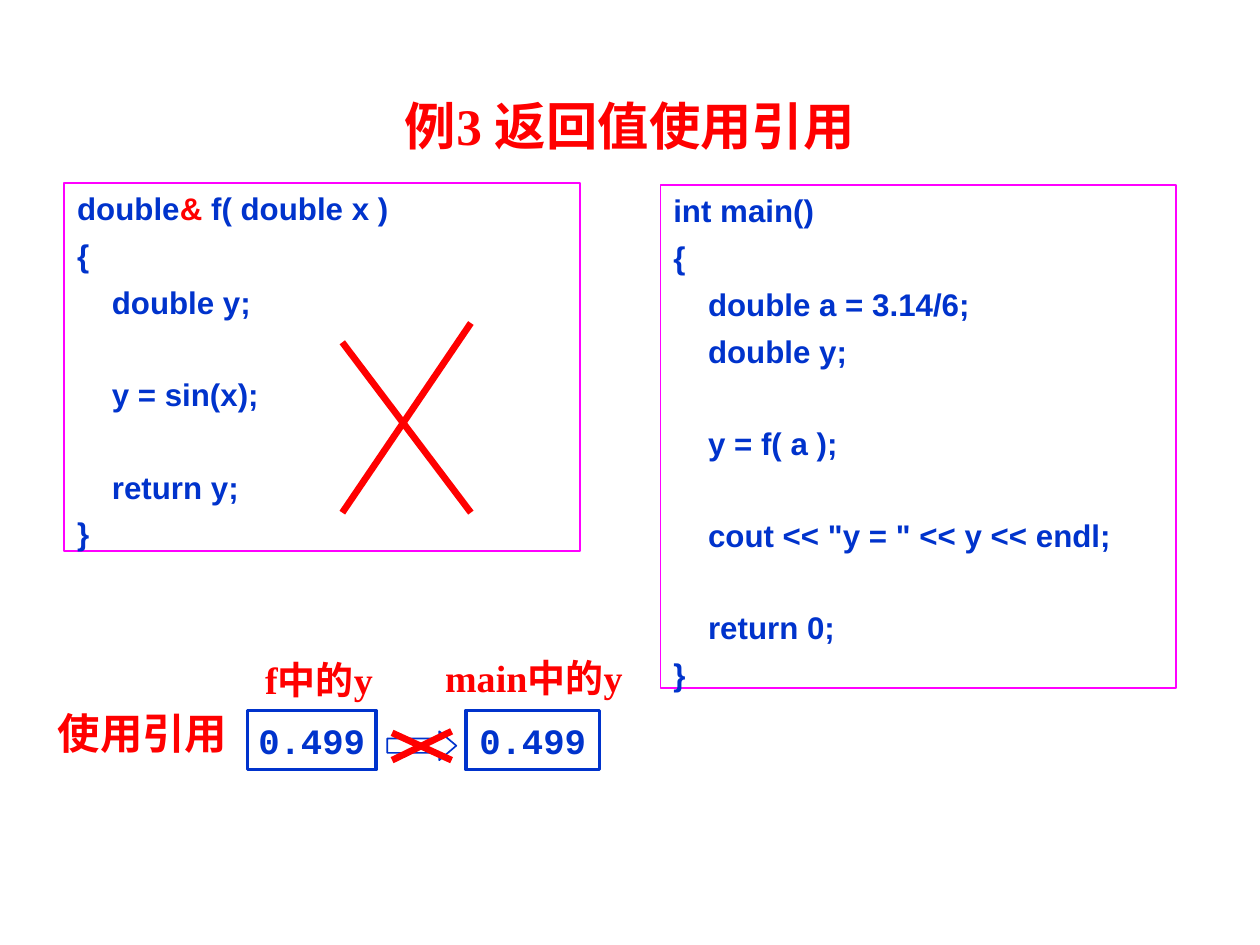
import pptx
import pptx.util
import pptx.dml.color
import pptx.enum.shapes
import pptx.enum.text
import pptx.oxml.ns
from lxml import etree

Inches = pptx.util.Inches
Pt = pptx.util.Pt
RGBColor = pptx.dml.color.RGBColor
Shape = pptx.enum.shapes.MSO_SHAPE
Align = pptx.enum.text.PP_ALIGN
Anchor = pptx.enum.text.MSO_ANCHOR

RED = RGBColor(0xFF, 0x00, 0x00)
BLUE = RGBColor(0x00, 0x33, 0xCC)
PINK = RGBColor(0xFF, 0x00, 0xFF)

# Content: code lines are lists of (text, colour); an empty list is a gap
F_CODE = [
    [("double", BLUE), ("& ", RED), ("f( double x )", BLUE)],
    [("{", BLUE)],
    [("    double y;", BLUE)],
    [],
    [("    y = sin(x);", BLUE)],
    [],
    [("    return y;", BLUE)],
    [("}", BLUE)],
]
MAIN_CODE = [[(line, BLUE)] if line else [] for line in (
    "int main()",
    "{",
    "    double a = 3.14/6;",
    "    double y;",
    "",
    "    y = f( a );",
    "",
    '    cout << "y = " << y << endl;',
    "",
    "    return 0;",
    "}",
)]
CODES = [((0.4, 1.14, 3.21, 2.29), F_CODE), ((4.11, 1.15, 3.21, 3.13), MAIN_CODE)]
VALUES = [((2.9, 4.42, 0.83, 0.37), "0.499"), ((1.54, 4.42, 0.8, 0.37), "0.499")]
ARROW = (2.41, 4.55, 0.43, 0.18)
TITLE = ((0.26, 0.55, 7.32, 0.46), "例3 返回值使用引用")
LABELS = [
    ((0.28, 4.36, 1.11, 0.39), "使用引用", 19),
    ((1.57, 4.09, 0.8, 0.27), "f中的y", 17),
    ((2.69, 4.05, 1.23, 0.33), "main中的y", 17),
]
# Crosses: left, right, then top of each stroke and the shared bottom
CROSSES = [(2.13, 2.93, 2.13, 2.01, 3.19), (2.44, 2.81, 4.56, 4.55, 4.73)]

# Formats
CODE = {"name": "Arial", "size": Pt(14), "bold": True}
VALUE = {"name": "Courier New", "size": Pt(16), "bold": True}
LABEL = {"name": "Times New Roman", "bold": True}
FRAME = {
    "margin_left": Inches(0.08), "margin_right": Inches(0.08),
    "margin_top": Inches(0.04), "margin_bottom": Inches(0.04),
    "auto_size": pptx.enum.text.MSO_AUTO_SIZE.NONE,
}
LEAD = 4.2   # points between code lines
ROW = 16.1   # height of one code line in points

deck = pptx.Presentation()
deck.slide_width, deck.slide_height = Inches(7.84), Inches(5.88)
slide = deck.slides.add_slide(deck.slide_layouts[6])
shapes = slide.shapes


def style(item, **values):
    for key, value in values.items():
        setattr(item, key, value)


def outline(kind, place, color, width):
    shape = shapes.add_shape(kind, *map(Inches, place))
    shape.shadow.inherit = False
    shape.fill.background()
    shape.line.color.rgb = color
    shape.line.width = Pt(width)
    return shape


def write(para, text, color, look):
    run = para.add_run()
    run.text = text
    style(run.font, **look)
    run.font.color.rgb = color


def fill(shape, text, color, look, align, wrap=False):
    frame = shape.text_frame
    style(frame, **FRAME, word_wrap=wrap, vertical_anchor=Anchor.MIDDLE)
    para = frame.paragraphs[0]
    para.alignment = align
    write(para, text, color, look)


def label(place, text, size, align=Align.LEFT, wrap=False):
    box = shapes.add_textbox(*map(Inches, place))
    fill(box, text, RED, {**LABEL, "size": Pt(size)}, align, wrap)


def stroke(*ends):
    line = shapes.add_connector(
        pptx.enum.shapes.MSO_CONNECTOR.STRAIGHT, *map(Inches, ends))
    line.line.color.rgb = RED
    line.line.width = Pt(3)
    etree.SubElement(line._element.spPr, pptx.oxml.ns.qn("a:effectLst"))


# Title
label(*TITLE, 23, Align.CENTER, True)

# Code panels: each gap becomes space before the next line
for place, code in CODES:
    frame = outline(Shape.RECTANGLE, place, PINK, 0.75).text_frame
    style(frame, **FRAME, word_wrap=True, vertical_anchor=Anchor.TOP)
    space = 0
    for num, parts in enumerate(code):
        if not parts:
            space += ROW + LEAD
            continue
        para = frame.add_paragraph() if num else frame.paragraphs[0]
        style(para, alignment=Align.LEFT, space_before=Pt(space))
        for text, color in parts:
            write(para, text, color, CODE)
        space = LEAD

# Value boxes and the arrow between them
for place, text in VALUES:
    fill(outline(Shape.RECTANGLE, place, BLUE, 1.5), text, BLUE, VALUE, Align.CENTER)
arrow = outline(Shape.RIGHT_ARROW, ARROW, BLUE, 0.75)
arrow.adjustments[1] = 0.59

# Labels
for place, text, size in LABELS:
    label(place, text, size)

# Crosses
for left, right, fall, rise, base in CROSSES:
    stroke(left, fall, right, base)
    stroke(right, rise, left, base)

deck.save("out.pptx")
